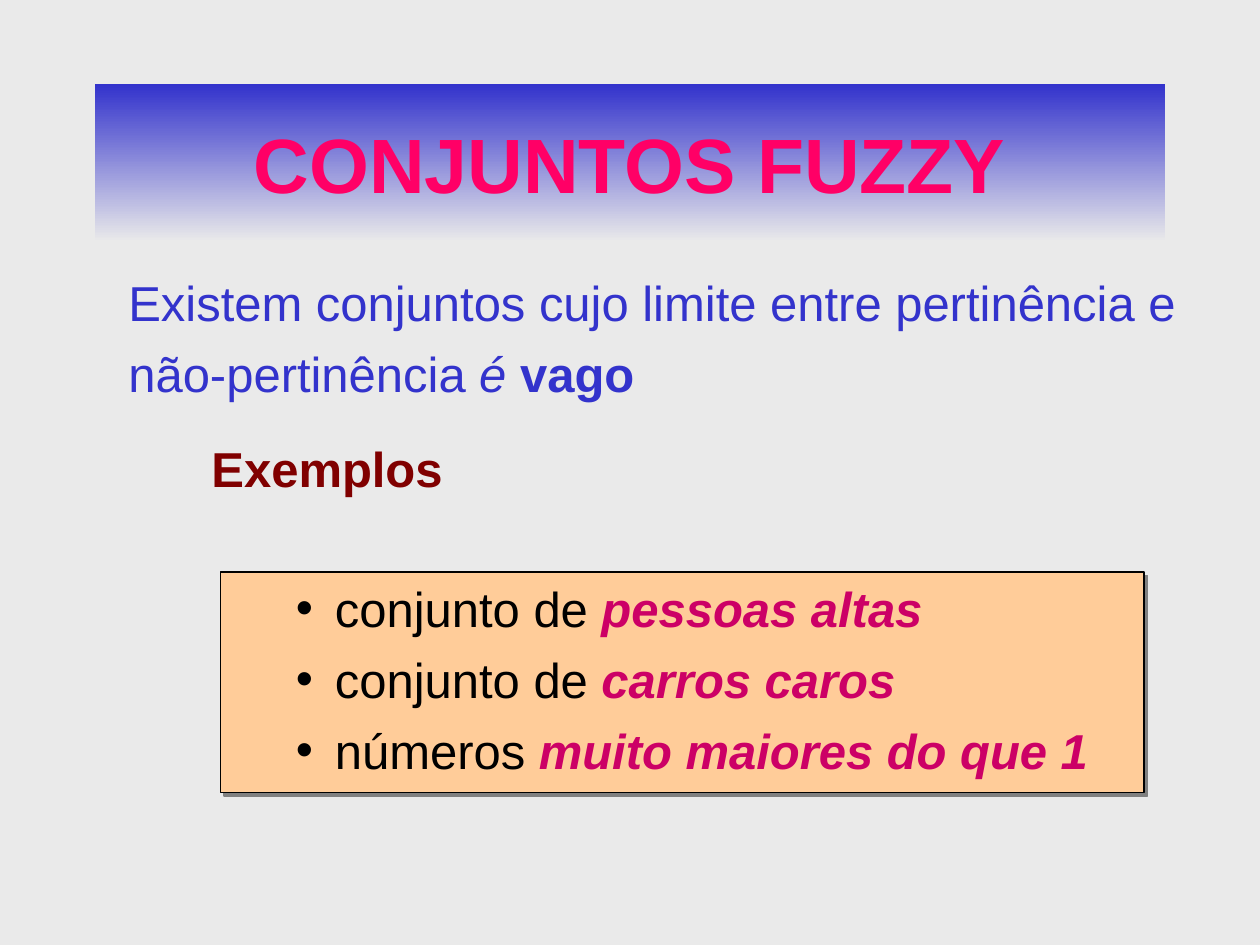
from lxml import etree
from pptx import Presentation
from pptx import util as u
from pptx.dml.color import RGBColor
from pptx.enum import shapes, text
from pptx.oxml import ns

BACKGROUND = RGBColor(0xEA, 0xEA, 0xEA)
BLUE = RGBColor(0x33, 0x33, 0xCC)
PINK = RGBColor(0xFF, 0x00, 0x66)
MAGENTA = RGBColor(0xCC, 0x00, 0x66)
MAROON = RGBColor(0x80, 0x00, 0x00)
PEACH = RGBColor(0xFF, 0xCC, 0x99)
BLACK = RGBColor(0, 0, 0)

TITLE = "CONJUNTOS FUZZY"
STATEMENT = [
    ("Existem conjuntos cujo limite entre pertinência e não-pertinência ", {}),
    ("é ", {"italic": True}),
    ("vago", {"bold": True}),
]
HEADING = [("Exemplos", {"bold": True})]
EXAMPLES = [
    ("conjunto de ", "pessoas altas"),
    ("conjunto de ", "carros caros"),
    ("números ", "muito maiores do que 1"),
]
EMPHASIS = {"bold": True, "italic": True, "color": MAGENTA}


def write(paragraph, runs, color, size=28):
    for words, extra in runs:
        run = paragraph.add_run()
        run.text = words
        style = {"name": "Arial", "size": u.Pt(size), "bold": False, "italic": False}
        style.update(extra)
        run.font.color.rgb = style.pop("color", color)
        for name, value in style.items():
            setattr(run.font, name, value)


def set_frame(shape, anchor):
    settings = {
        "word_wrap": True,
        "auto_size": text.MSO_AUTO_SIZE.NONE,
        "vertical_anchor": anchor,
        "margin_left": u.Inches(0.1),
        "margin_right": u.Inches(0.1),
        "margin_top": u.Inches(0.05),
        "margin_bottom": u.Inches(0.05),
    }
    for name, value in settings.items():
        setattr(shape.text_frame, name, value)
    return shape.text_frame


def add_text(slide, box, runs, color, line_spacing=1.0):
    shape = slide.shapes.add_textbox(*map(u.Inches, box))
    paragraph = set_frame(shape, text.MSO_ANCHOR.TOP).paragraphs[0]
    paragraph.line_spacing = line_spacing
    write(paragraph, runs, color)


def add_bullet(paragraph):
    properties = paragraph._p.get_or_add_pPr()
    properties.set("marL", str(u.Inches(0.81)))
    properties.set("indent", str(u.Inches(-0.31)))
    etree.SubElement(properties, ns.qn("a:buFont"), typeface="Arial")
    etree.SubElement(properties, ns.qn("a:buChar"), char="•")


def add_shadow(shape):
    shape.shadow.inherit = False
    effects = shape._element.spPr.find(ns.qn("a:effectLst"))
    shadow = etree.SubElement(effects, ns.qn("a:outerShdw"),
                              dist=str(u.Pt(2.8)), dir=str(45 * 60000), algn="ctr", rotWithShape="0")
    etree.SubElement(shadow, ns.qn("a:srgbClr"), val="808080")


def add_title(slide):
    title = slide.shapes.title
    box = dict(left=0.75, top=0.67, width=8.5, height=1.25)
    for name, value in box.items():
        setattr(title, name, u.Inches(value))
    title.fill.gradient()
    title.fill.gradient_angle = 270
    for stop, color, position in zip(title.fill.gradient_stops, (BLUE, BACKGROUND), (0, 1)):
        stop.color.rgb = color
        stop.position = position
    paragraph = set_frame(title, text.MSO_ANCHOR.MIDDLE).paragraphs[0]
    paragraph.alignment = text.PP_ALIGN.CENTER
    write(paragraph, [(TITLE, {"bold": True})], PINK, 44)


def add_examples(slide):
    panel = slide.shapes.add_shape(shapes.MSO_SHAPE.RECTANGLE, *map(u.Inches, (1.75, 4.54, 7.33, 1.75)))
    panel.fill.solid()
    panel.fill.fore_color.rgb = PEACH
    panel.line.color.rgb = BLACK
    panel.line.width = u.Pt(0.75)
    add_shadow(panel)
    frame = set_frame(panel, text.MSO_ANCHOR.TOP)
    for index, (lead, emphasis) in enumerate(EXAMPLES):
        paragraph = frame.add_paragraph() if index else frame.paragraphs[0]
        paragraph.alignment = text.PP_ALIGN.LEFT
        paragraph.space_before = u.Pt(7 if index else 0)
        add_bullet(paragraph)
        write(paragraph, [(lead, {}), (emphasis, EMPHASIS)], BLACK)


def main():
    presentation = Presentation()
    presentation.slide_width = u.Inches(10)
    presentation.slide_height = u.Inches(7.5)
    slide = presentation.slides.add_slide(presentation.slide_layouts.get_by_name("Title Only"))
    slide.background.fill.solid()
    slide.background.fill.fore_color.rgb = BACKGROUND
    add_title(slide)
    add_examples(slide)
    add_text(slide, (0.92, 2.02, 8.71, 1.22), STATEMENT, BLUE, 1.2)
    add_text(slide, (1.58, 3.43, 2.83, 0.57), HEADING, MAROON)
    presentation.save("out.pptx")


if __name__ == "__main__":
    main()
